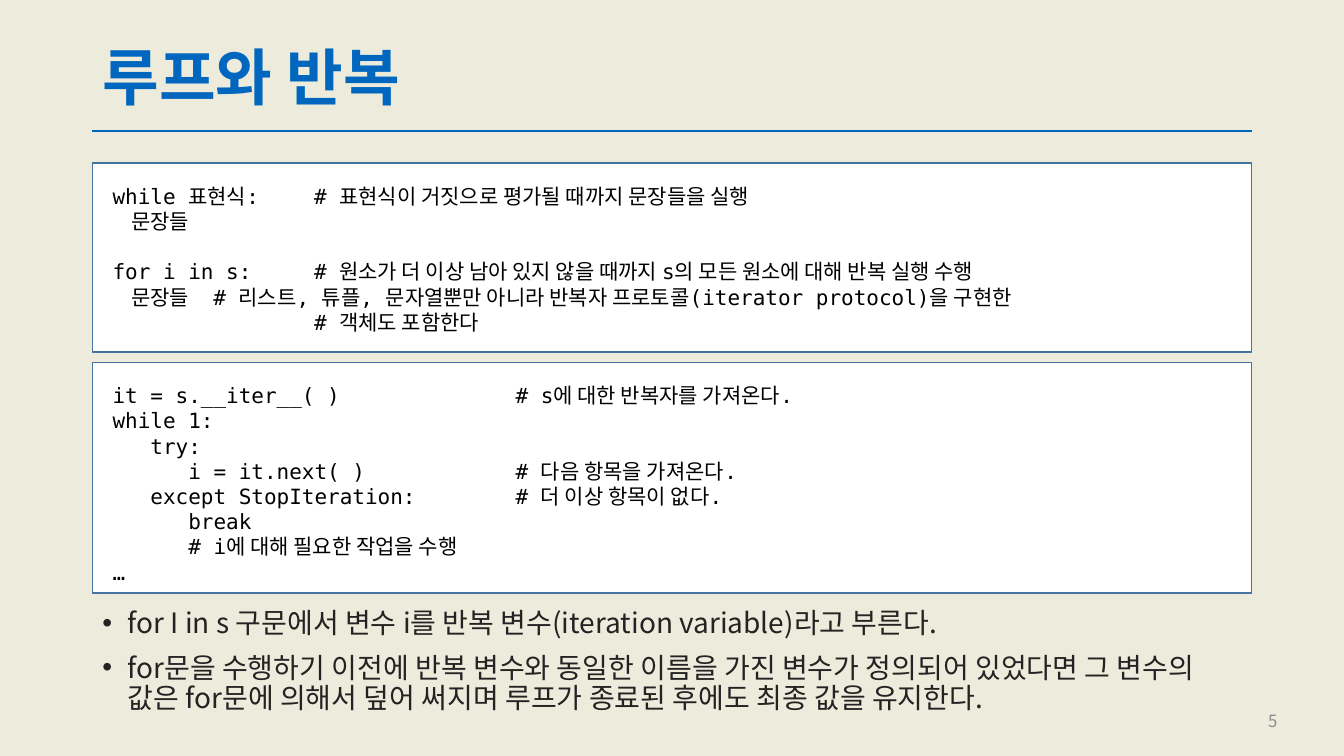
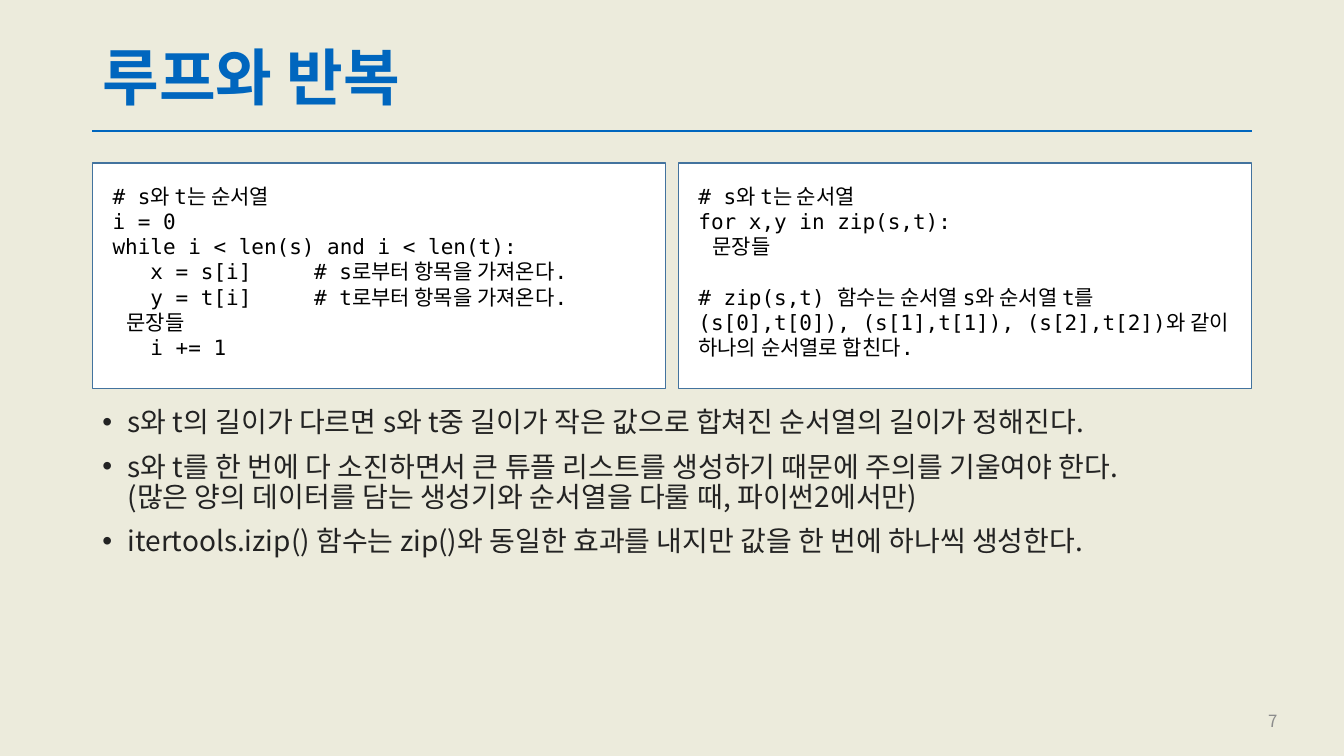
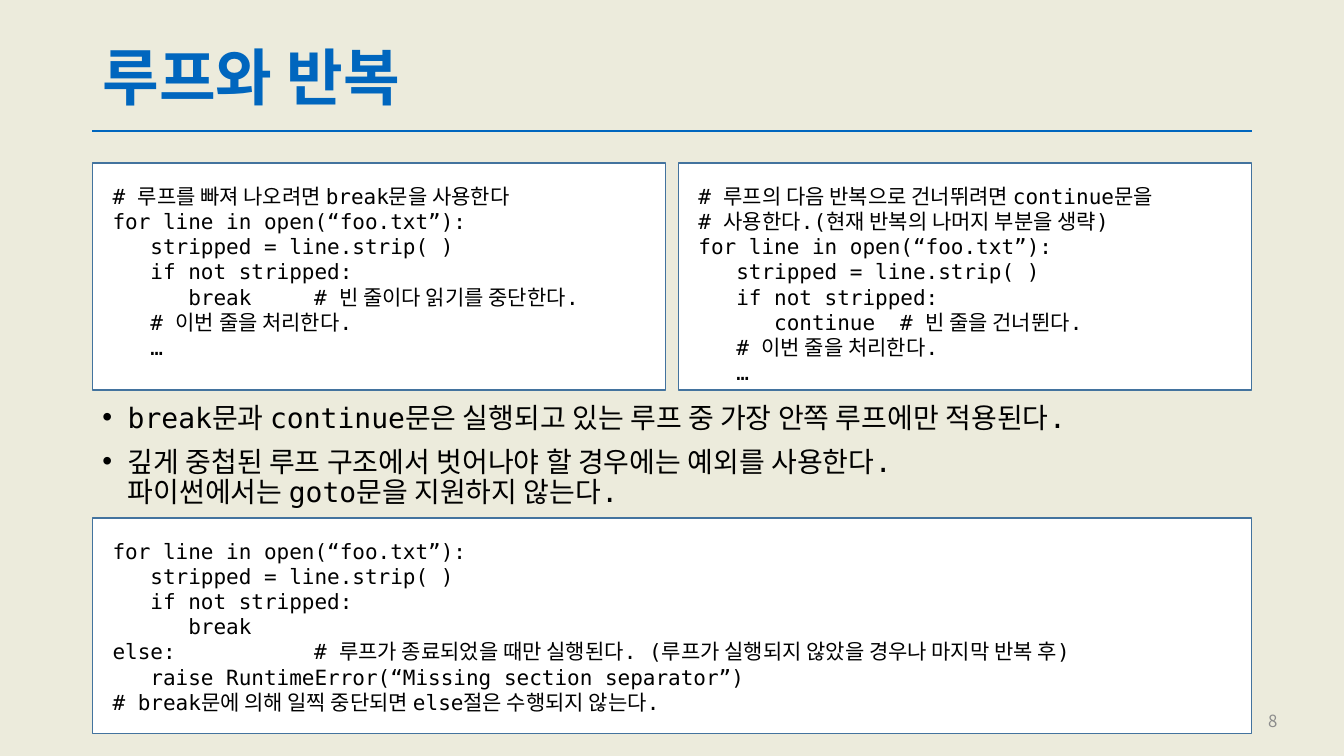
import copy

import pptx
import pptx.dml.color
import pptx.enum.shapes
import pptx.enum.text
import pptx.oxml.ns
import pptx.util
from lxml import etree

Pt = pptx.util.Pt
qn = pptx.oxml.ns.qn
ALIGN = pptx.enum.text.PP_ALIGN
ANCHOR = pptx.enum.text.MSO_ANCHOR

# Shared style
PAPER, WHITE, BLACK = "ECEBDC", "FFFFFF", "000000"
BLUE, BORDER, INK, GREY = "0066BE", "43739E", "232323", "8C8C8C"
SANS, MONO = "Noto Sans CJK KR", "DejaVu Sans Mono"

# Shared grid, in points
LEFT, WIDTH, GAP = 66, 828, 9
CODE_TOP = 116.5
HALF = (WIDTH - GAP) / 2
RIGHT = LEFT + HALF + GAP

# Code listings
LOOP_FORMS = """while 표현식:\t# 표현식이 거짓으로 평가될 때까지 문장들을 실행
    문장들

for i in s:\t# 원소가 더 이상 남아 있지 않을 때까지 s의 모든 원소에 대해 반복 실행 수행
    문장들\t# 리스트, 튜플, 문자열뿐만 아니라 반복자 프로토콜(iterator protocol)을 구현한
\t\t# 객체도 포함한다"""

ITERATOR = """it = s.__iter__( )\t\t# s에 대한 반복자를 가져온다.
while 1:
   try:
      i = it.next( )\t\t# 다음 항목을 가져온다.
   except StopIteration:\t# 더 이상 항목이 없다.
      break
      # i에 대해 필요한 작업을 수행
…"""

INDEX_LOOP = """# s와 t는 순서열
i = 0
while i < len(s) and i < len(t):
   x = s[i]\t# s로부터 항목을 가져온다.
   y = t[i] \t# t로부터 항목을 가져온다.
   문장들
   i += 1"""

ZIP_LOOP = """# s와 t는 순서열
for x,y in zip(s,t):
   문장들

# zip(s,t) 함수는 순서열 s와 순서열 t를 (s[0],t[0]), (s[1],t[1]), (s[2],t[2])와 같이 하나의 순서열로 합친다."""

STRIP_LOOP = """for line in open(“foo.txt”):
   stripped = line.strip( )
   if not stripped:
"""

BREAK_LOOP = "# 루프를 빠져 나오려면 break문을 사용한다\n" + STRIP_LOOP + """      break\t# 빈 줄이다 읽기를 중단한다.
   # 이번 줄을 처리한다.
   …"""

CONTINUE_LOOP = """# 루프의 다음 반복으로 건너뛰려면 continue문을
# 사용한다.(현재 반복의 나머지 부분을 생략)
""" + STRIP_LOOP + """      continue\t# 빈 줄을 건너뛴다.
   # 이번 줄을 처리한다.
   …"""

ELSE_LOOP = STRIP_LOOP + """      break
else:\t\t# 루프가 종료되었을 때만 실행된다. (루프가 실행되지 않았을 경우나 마지막 반복 후)
   raise RuntimeError(“Missing section separator”)
# break문에 의해 일찍 중단되면 else절은 수행되지 않는다."""


def rgb(hex_color):
    return pptx.dml.color.RGBColor.from_string(hex_color)


def place(shape, left, top, width, height):
    shape.left, shape.top = Pt(left), Pt(top)
    shape.width, shape.height = Pt(width), Pt(height)


def style_text(paragraph, size, color, font=SANS, bold=False):
    """Format the runs, and give line breaks and blank lines the same size."""
    for run in paragraph.runs:
        run.font.size, run.font.bold, run.font.name = Pt(size), bold, font
        run.font.color.rgb = rgb(color)
        latin = run.font._element.find(qn("a:latin"))
        east_asian = etree.Element(qn("a:ea"), typeface=SANS)
        latin.addnext(east_asian)
    for line_break in paragraph._p.findall(qn("a:br")):
        line_break.insert(0, copy.deepcopy(paragraph.runs[0].font._element))
    if not paragraph.runs:
        etree.SubElement(paragraph._p, qn("a:endParaRPr"), sz=str(size * 100))


def set_tabs(paragraph):
    """Put a tab stop at every inch."""
    tabs = etree.SubElement(paragraph._p.get_or_add_pPr(), qn("a:tabLst"))
    for inch in range(1, 6):
        etree.SubElement(tabs, qn("a:tab"), pos=str(Pt(72 * inch)), algn="l")


def set_bullet(paragraph):
    properties = paragraph._p.get_or_add_pPr()
    properties.set("marL", str(Pt(18)))
    properties.set("indent", str(Pt(-18)))
    etree.SubElement(properties, qn("a:buFont"), typeface="Arial")
    etree.SubElement(properties, qn("a:buChar"), char="•")


def add_master_rule(prs, slide):
    """Draw the rule under the title and move it to the master."""
    rule = slide.shapes.add_connector(
        pptx.enum.shapes.MSO_CONNECTOR.STRAIGHT,
        Pt(LEFT), Pt(93.6), Pt(LEFT + WIDTH), Pt(93.6))
    rule.line.color.rgb = rgb(BLUE)
    rule.line.width = Pt(1.5)
    etree.SubElement(rule.element.spPr, qn("a:effectLst"))
    rule.element.nvCxnSpPr.cNvPr.set("id", "20")
    prs.slide_master.element.cSld.spTree.append(rule.element)


def add_page(prs, number):
    slide = prs.slides.add_slide(prs.slide_layouts[1])
    # Title
    title = slide.shapes.title
    place(title, LEFT, 28.8, WIDTH, 57.6)
    frame = title.text_frame
    frame.text = "루프와 반복"
    frame.auto_size = pptx.enum.text.MSO_AUTO_SIZE.NONE
    frame.vertical_anchor = ANCHOR.MIDDLE
    heading = frame.paragraphs[0]
    heading.alignment, heading.line_spacing = ALIGN.LEFT, 0.9
    style_text(heading, 44, BLUE, bold=True)
    # Page number
    footer = slide.shapes.add_textbox(Pt(703.5), Pt(500.5), Pt(216), Pt(28.8))
    footer.text_frame.text = str(number)
    footer.text_frame.word_wrap = True
    footer.text_frame.vertical_anchor = ANCHOR.MIDDLE
    footer.text_frame.paragraphs[0].alignment = ALIGN.RIGHT
    style_text(footer.text_frame.paragraphs[0], 12, GREY)
    return slide


def add_code(slide, code, left, top, width, height):
    box = slide.shapes.add_shape(
        pptx.enum.shapes.MSO_SHAPE.RECTANGLE,
        Pt(left), Pt(top), Pt(width), Pt(height))
    box.shadow.inherit = False
    box.fill.solid()
    box.fill.fore_color.rgb = rgb(WHITE)
    box.line.color.rgb = rgb(BORDER)
    box.line.width = Pt(1)
    frame = box.text_frame
    frame.text = code
    frame.word_wrap = True
    frame.vertical_anchor = ANCHOR.TOP
    frame.margin_left = frame.margin_right = Pt(14.4)
    frame.margin_top = frame.margin_bottom = Pt(14.4)
    for line in frame.paragraphs:
        set_tabs(line)
        line.alignment, line.line_spacing = ALIGN.LEFT, Pt(18)
        style_text(line, 15, BLACK, MONO)


def fill_body(slide, points, top, height, color=INK, font=SANS):
    body = slide.placeholders[1]
    place(body, LEFT, top, WIDTH, height)
    frame = body.text_frame
    frame.text = "\n".join(points)
    frame.auto_size = pptx.enum.text.MSO_AUTO_SIZE.NONE
    for index, point in enumerate(frame.paragraphs):
        set_bullet(point)
        point.line_spacing = Pt(21.6)
        point.space_before = Pt(10 if index else 0)
        style_text(point, 20, color, font)


def main():
    prs = pptx.Presentation()
    prs.slide_width, prs.slide_height = Pt(960), Pt(540)
    background = prs.slide_master.background.fill
    background.solid()
    background.fore_color.rgb = rgb(PAPER)

    # Loop forms and the iterator protocol
    forms = add_page(prs, 5)
    add_master_rule(prs, forms)
    add_code(forms, LOOP_FORMS, LEFT, CODE_TOP, WIDTH, 135)
    add_code(forms, ITERATOR, LEFT, 259, WIDTH, 164.5)
    fill_body(forms, [
        "for I in s 구문에서 변수 i를 반복 변수(iteration variable)라고 부른다.",
        "for문을 수행하기 이전에 반복 변수와 동일한 이름을 가진 변수가 정의되어 있었다면 그 변수의 "
        "값은 for문에 의해서 덮어 써지며 루프가 종료된 후에도 최종 값을 유지한다.",
    ], 431.5, 89)

    # Looping over two sequences
    pairs = add_page(prs, 7)
    add_code(pairs, INDEX_LOOP, LEFT, CODE_TOP, HALF, 161)
    add_code(pairs, ZIP_LOOP, RIGHT, CODE_TOP, HALF, 161)
    fill_body(pairs, [
        "s와 t의 길이가 다르면 s와 t중 길이가 작은 값으로 합쳐진 순서열의 길이가 정해진다.",
        "s와 t를 한 번에 다 소진하면서 큰 튜플 리스트를 생성하기 때문에 주의를 기울여야 한다.\v"
        "(많은 양의 데이터를 담는 생성기와 순서열을 다룰 때, 파이썬2에서만)",
        "itertools.izip() 함수는 zip()와 동일한 효과를 내지만 값을 한 번에 하나씩 생성한다.",
    ], 288, 232.5)

    # Leaving a loop early
    exits = add_page(prs, 8)
    add_code(exits, ELSE_LOOP, LEFT, 370, WIDTH, 154)
    add_code(exits, BREAK_LOOP, LEFT, CODE_TOP, HALF, 162)
    add_code(exits, CONTINUE_LOOP, RIGHT, CODE_TOP, HALF, 162)
    fill_body(exits, [
        "break문과 continue문은 실행되고 있는 루프 중 가장 안쪽 루프에만 적용된다.",
        "깊게 중첩된 루프 구조에서 벗어나야 할 경우에는 예외를 사용한다. \v"
        "파이썬에서는 goto문을 지원하지 않는다.",
    ], 284.5, 84, BLACK, MONO)

    prs.save("out.pptx")


if __name__ == "__main__":
    main()
